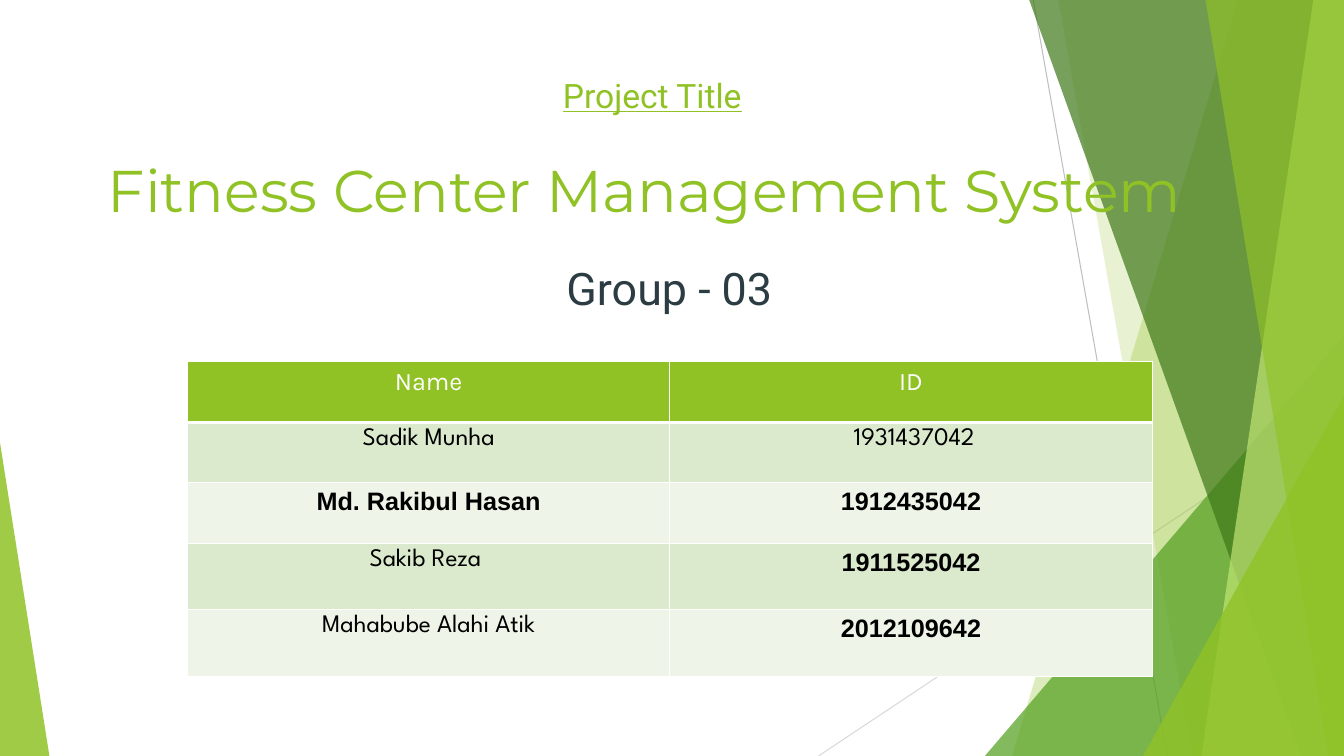
from dataclasses import dataclass
from lxml.etree import SubElement
from pptx import Presentation
from pptx.dml.color import RGBColor as RGB
from pptx.enum.shapes import MSO_CONNECTOR as CONN, MSO_SHAPE as SHAPE
from pptx.enum.text import PP_ALIGN as ALIGN
from pptx.oxml.ns import qn
from pptx.util import Inches, Pt


@dataclass(frozen=True)
class Theme:
    lime: str = "90C226"
    green: str = "54A021"
    forest: str = "3F7819"
    pale: str = "C0E474"
    slate: str = "2C3C43"
    white: str = "FFFFFF"
    black: str = "000000"
    bands: tuple = ("DBE9CD", "EEF4E8")
    label: int = 24
    title: int = 42
    group: int = 32
    cell: int = 18


T = Theme()
prs = Presentation()
prs.slide_width, prs.slide_height = Inches(13.333), Inches(7.5)
COL, ROW = prs.slide_width / 100, prs.slide_height / 100
s = prs.slides.add_slide(prs.slide_layouts[6])


def grid(*lengths):
    return [round(n * (ROW if i % 2 else COL)) for i, n in enumerate(lengths)]


def write(p, text, font, size, color, bold=False, underline=False):
    p.text = text
    p.alignment = ALIGN.CENTER
    f = p.runs[0].font
    f.name, f.size, f.bold, f.underline = font, Pt(size), bold, underline
    f.color.rgb = RGB.from_string(color)


for ends, color in [((76.88, 0, 86.85, 100), "BFBFBF"), ((100, 53.73, 60.9, 100), "D9D9D9")]:
    line = s.shapes.add_connector(CONN.STRAIGHT, *grid(*ends))
    line.line.color.rgb = RGB.from_string(color)
    line.line.width = Pt(0.75)
    SubElement(line.element.spPr, qn("a:effectLst"))

facets = [
    ("ribbon", (92.1, 75.3), T.lime, 30),
    ("ribbon", (78.75, 88.72), T.lime, 20),
    ("right", (73.28, 44.4), T.green, 72),
    ("ribbon", (76.58, 96.82), T.forest, 70),
    ("ribbon", (97.72, 89.4), T.pale, 70),
    ("ribbon", (89.7, 98.85), T.lime, 65),
    ("right", (85.05, 52.4), T.lime, 80),
    ("left", (3.68, 58.53), T.lime, 85),
]
for kind, (a, b), color, opacity in facets:
    if kind == "ribbon":
        fb = s.shapes.build_freeform(*grid(a, 0))
        fb.add_line_segments([grid(100, 0), grid(100, 100), grid(b, 100)], close=True)
        sp = fb.convert_to_shape()
    else:
        left, width = (a, 100 - a) if kind == "right" else (0, a)
        sp = s.shapes.add_shape(SHAPE.ISOSCELES_TRIANGLE, *grid(left, b, width, 100 - b))
        sp.adjustments[0] = 1 if kind == "right" else 0
    sp.shadow.inherit = False
    sp.line.fill.background()
    sp.fill.solid()
    sp.fill.fore_color.rgb = RGB.from_string(color)
    clr = next(sp.element.spPr.iter(qn("a:srgbClr")))
    SubElement(clr, qn("a:alpha"), val=str(opacity * 1000))

members = [
    ("Name", "Karla", "ID", "Karla"),
    ("Sadik Munha", "League Spartan", " 1931437042", "League Spartan"),
    ("Md. Rakibul Hasan", "Arial", "1912435042", "Arial"),
    ("Sakib Reza\u00a0", "League Spartan", "1911525042", "Arial"),
    ("Mahabube Alahi Atik", "League Spartan", "2012109642", "Arial"),
]
heights = [8, 8, 8, 8.8, 8.8]
table = s.shapes.add_table(5, 2, *grid(13.95, 47.87, 71.78, sum(heights))).table
for i, (name, name_font, number, number_font) in enumerate(members):
    table.rows[i].height = round(heights[i] * ROW)
    for j, (text, font) in enumerate([(name, name_font), (number, number_font)]):
        cell = table.cell(i, j)
        tcPr = cell._tc.get_or_add_tcPr()
        for side in "LRTB":
            thick = (side, i) in (("B", 0), ("T", 1))
            ln = SubElement(tcPr, qn("a:ln" + side), w=str(Pt(3 if thick else 1)))
            SubElement(SubElement(ln, qn("a:solidFill")), qn("a:srgbClr"), val=T.white)
        cell.fill.solid()
        cell.fill.fore_color.rgb = RGB.from_string(T.bands[(i - 1) % 2] if i else T.lime)
        write(cell.text_frame.paragraphs[0], text, font, T.cell,
              T.black if i else T.white, bold=font == "Arial")

tf = s.shapes.add_textbox(*grid(3.38, 9.2, 90.3, 18.53)).text_frame
tf.word_wrap = True
write(tf.paragraphs[0], "Project Title", "Roboto", T.label, T.lime, underline=True)
p = tf.add_paragraph()
write(p, "Fitness Center Management System ", "Montserrat", T.title, T.lime)
p.space_before = Pt(28)

tf = s.shapes.add_textbox(*grid(17.93, 33.87, 63.75, 12.13)).text_frame
tf.word_wrap = True
write(tf.paragraphs[0], "Group - 03", "Roboto", T.group, T.slate)

prs.save("out.pptx")
